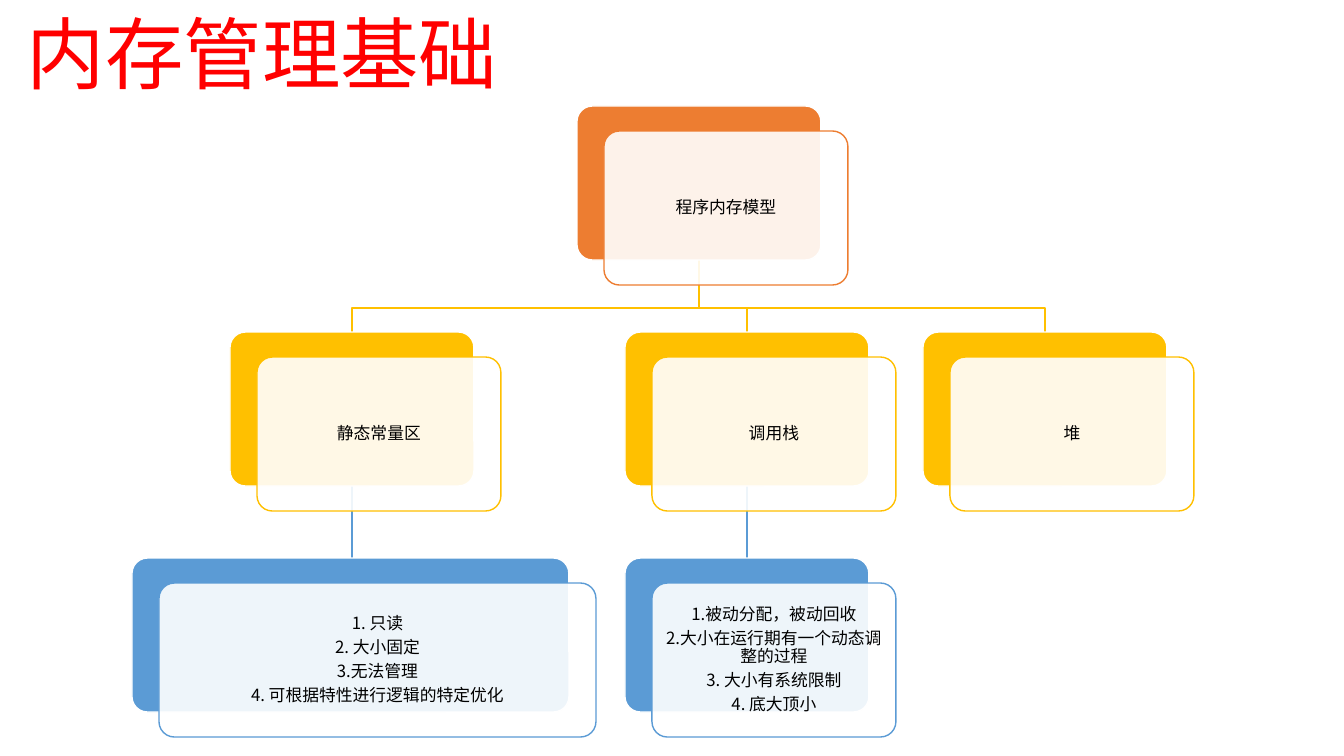
from lxml.etree import SubElement
from pptx import Presentation
from pptx.dml.color import RGBColor
from pptx.enum.shapes import MSO_CONNECTOR, MSO_SHAPE
from pptx.enum.text import MSO_ANCHOR, PP_ALIGN
from pptx.oxml.ns import qn
from pptx.util import Pt

SCALE = 914400 / 100.8
FONT = "Noto Sans CJK SC"
RED = RGBColor(0xFF, 0x00, 0x00)
BLACK = RGBColor(0x00, 0x00, 0x00)
WHITE = RGBColor(0xFF, 0xFF, 0xFF)
ORANGE = RGBColor(0xED, 0x7D, 0x31)
GOLD = RGBColor(0xFF, 0xC0, 0x00)
BLUE = RGBColor(0x5B, 0x9B, 0xD5)

LEVEL_COLORS = [ORANGE, GOLD, BLUE]
FIRST_TOP, LEVEL_PITCH = 106, 226
CARD_WIDTH, WIDE_WIDTH, CARD_HEIGHT = 244, 437, 154
SHIFT_X, SHIFT_Y = 27, 25
ELBOW_DROP = 48


def emu(pixels):
    return round(pixels * SCALE)


def write_text(frame, lines, size, color, align=PP_ALIGN.LEFT, spacing=1.0, after=0):
    frame.word_wrap = True
    for index, line in enumerate(lines):
        paragraph = frame.add_paragraph() if index else frame.paragraphs[0]
        paragraph.alignment = align
        paragraph.line_spacing = spacing
        paragraph.space_after = Pt(after)
        run = paragraph.add_run()
        run.text = line
        run.font.size = Pt(size)
        run.font.color.rgb = color
        run.font.name = FONT
        SubElement(run._r.get_or_add_rPr(), qn("a:ea"), typeface=FONT)


presentation = Presentation()
presentation.slide_width = emu(1344)
presentation.slide_height = emu(756)
slide = presentation.slides.add_slide(presentation.slide_layouts[6])
shapes = slide.shapes

title = shapes.add_textbox(emu(17), 0, emu(764), emu(105))
write_text(title.text_frame, ["内存管理基础"], size=56, color=RED)

cards = {
    "model": (0, 577, CARD_WIDTH, ["程序内存模型"]),
    "constants": (1, 230, CARD_WIDTH, ["静态常量区"]),
    "constant_traits": (2, 132, WIDE_WIDTH, [
        "1. 只读", "2. 大小固定", "3.无法管理", "4. 可根据特性进行逻辑的特定优化"]),
    "stack": (1, 625, CARD_WIDTH, ["调用栈"]),
    "stack_traits": (2, 625, CARD_WIDTH, [
        "1.被动分配，被动回收", "2.大小在运行期有一个动态调整的过程",
        "3. 大小有系统限制", "4. 底大顶小"]),
    "heap": (1, 923, CARD_WIDTH, ["堆"]),
}
links = [("model", "heap"), ("stack", "stack_traits"), ("model", "stack"),
         ("constants", "constant_traits"), ("model", "constants")]

for parent, child in links:
    level, left, width, _ = cards[parent]
    start_x = left + width / 2
    start_y = FIRST_TOP + level * LEVEL_PITCH + CARD_HEIGHT
    end_y = FIRST_TOP + (level + 1) * LEVEL_PITCH
    if level == 0:
        end_x = cards[child][1] + cards[child][2] / 2
        elbow_y = start_y + ELBOW_DROP
        builder = shapes.build_freeform(start_x, start_y, scale=SCALE)
        builder.add_line_segments(
            [(start_x, elbow_y), (end_x, elbow_y), (end_x, end_y)], close=False)
        link = builder.convert_to_shape()
        link.fill.background()
        link.shadow.inherit = False
    else:
        link = shapes.add_connector(MSO_CONNECTOR.STRAIGHT, emu(start_x), emu(start_y),
                                    emu(start_x), emu(end_y))
        SubElement(link._element.spPr, qn("a:effectLst"))
    link.line.color.rgb = LEVEL_COLORS[level + 1]
    link.line.width = Pt(1)

for level, left, width, lines in cards.values():
    color = LEVEL_COLORS[level]
    top = FIRST_TOP + level * LEVEL_PITCH
    for shift, fill, line in [(0, color, WHITE), (1, WHITE, color)]:
        card = shapes.add_shape(MSO_SHAPE.ROUNDED_RECTANGLE,
                                emu(left + shift * SHIFT_X), emu(top + shift * SHIFT_Y),
                                emu(width), emu(CARD_HEIGHT))
        card.adjustments[0] = 0.1
        card.shadow.inherit = False
        card.fill.solid()
        card.fill.fore_color.rgb = fill
        card.line.color.rgb = line
        card.line.width = Pt(1)
    fill_color = card._element.spPr.find(qn("a:solidFill")).find(qn("a:srgbClr"))
    SubElement(fill_color, qn("a:alpha"), val="90000")
    frame = card.text_frame
    frame.margin_left = frame.margin_right = frame.margin_top = frame.margin_bottom = emu(5)
    frame.vertical_anchor = MSO_ANCHOR.MIDDLE
    write_text(frame, lines, size=12, color=BLACK, align=PP_ALIGN.CENTER,
               spacing=0.9, after=4.2)

presentation.save("out.pptx")
